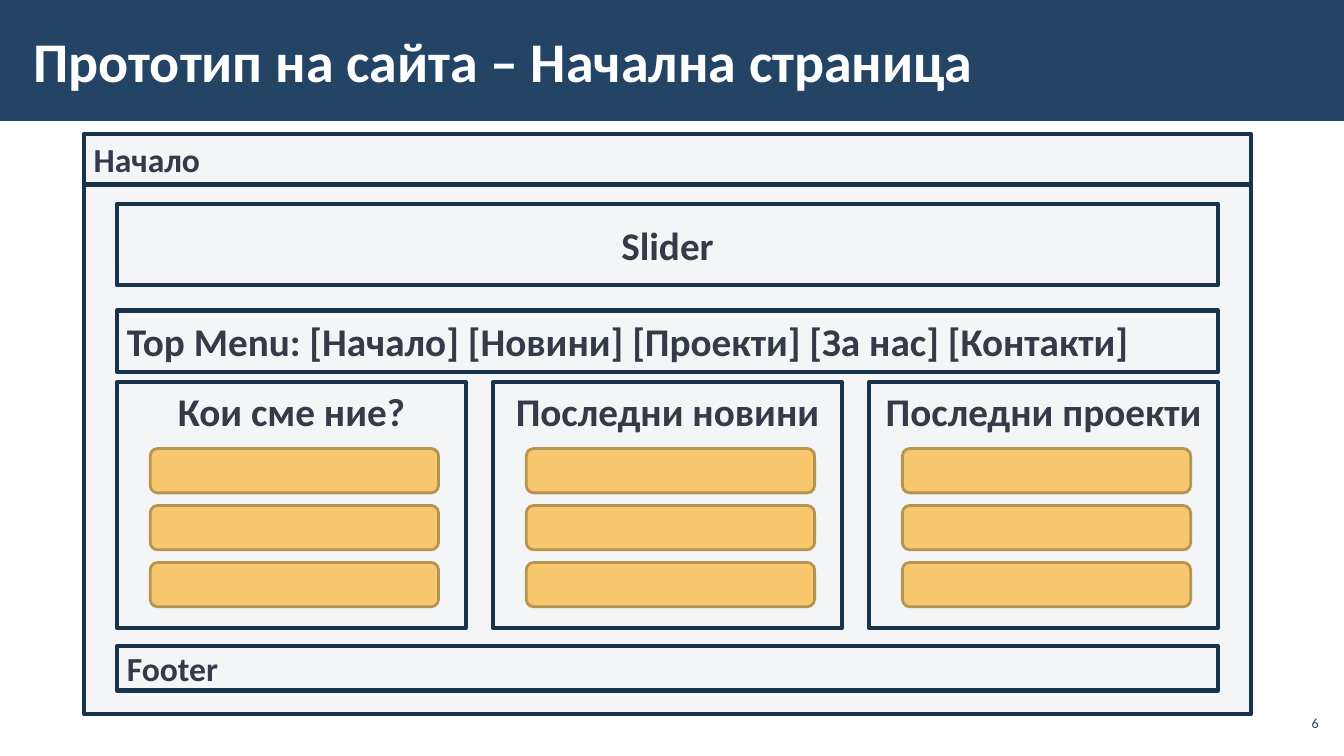
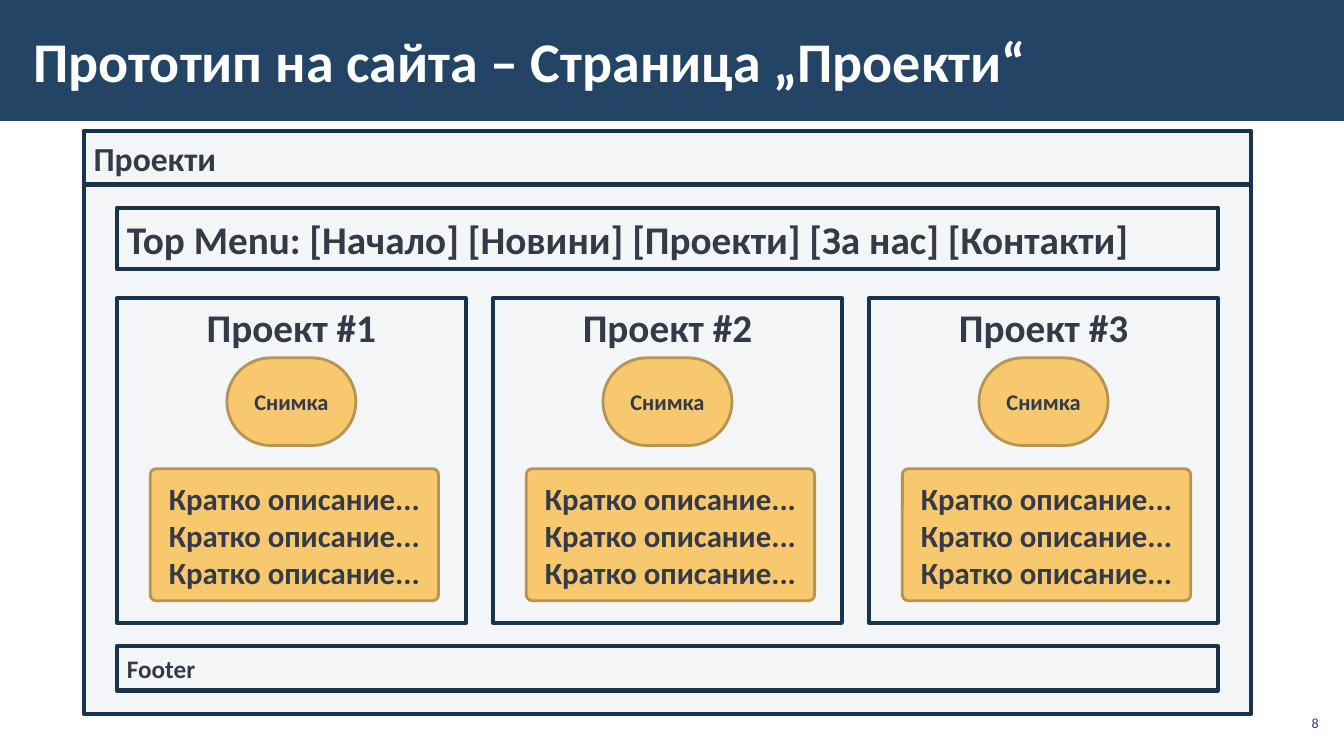
from pptx import Presentation
from pptx.dml.color import RGBColor
from pptx.enum.shapes import MSO_SHAPE
from pptx.enum.text import MSO_ANCHOR, MSO_AUTO_SIZE, PP_ALIGN
from pptx.util import Inches, Pt

RECT, ROUND = MSO_SHAPE.RECTANGLE, MSO_SHAPE.ROUNDED_RECTANGLE
LEFT, CENTER, RIGHT = PP_ALIGN.LEFT, PP_ALIGN.CENTER, PP_ALIGN.RIGHT
TOP, MIDDLE = MSO_ANCHOR.TOP, MSO_ANCHOR.MIDDLE

WHITE = RGBColor(0xFF, 0xFF, 0xFF)
BLUE = RGBColor(0x23, 0x44, 0x65)
NAVY = RGBColor(0x1A, 0x33, 0x4C)
PALE = RGBColor(0xF4, 0xF5, 0xF7)
INK = RGBColor(0x34, 0x3A, 0x47)
AMBER = RGBColor(0xF7, 0xC8, 0x6D)
BRONZE = RGBColor(0xB7, 0x94, 0x51)

FONT = "Calibri"
SLIDE_W, SLIDE_H = 13.33, 7.5
PAGE_X, PAGE_W = 0.83, 11.58
PAGE_Y, PAGE_BOTTOM = 1.83, 7.08
INNER_X, INNER_W = 1.16, 10.92
COL_W, COL_COUNT = 3.46, 3
COL_STEP = (INNER_W - COL_W) / (COL_COUNT - 1)
CARD_INSET, CARD_W = 0.33, 2.86
MENU = "Top Menu: [Начало] [Новини] [Проекти] [За нас] [Контакти]"


def write(tf, lines, size, color=INK, bold=True, align=LEFT, anchor=MIDDLE):
    tf.word_wrap = True
    tf.auto_size = MSO_AUTO_SIZE.NONE
    tf.vertical_anchor = anchor
    for i, line in enumerate(lines):
        p = tf.add_paragraph() if i else tf.paragraphs[0]
        p.alignment = align
        r = p.add_run()
        r.text = line
        r.font.name, r.font.size, r.font.bold = FONT, Pt(size), bold
        r.font.color.rgb = color


def set_insets(tf, side, edge):
    tf.margin_left = tf.margin_right = Inches(side)
    tf.margin_top = tf.margin_bottom = Inches(edge)


def add_box(s, x, y, w, h, kind=RECT, fill=PALE, line=NAVY, width=3):
    sp = s.shapes.add_shape(kind, Inches(x), Inches(y), Inches(w), Inches(h))
    sp.shadow.inherit = False
    sp.fill.solid()
    sp.fill.fore_color.rgb = fill
    if line is None:
        sp.line.fill.background()
    else:
        sp.line.color.rgb = line
        sp.line.width = Pt(width)
    return sp


def add_card(s, x, y, w, h, radius=None):
    sp = add_box(s, x, y, w, h, ROUND, AMBER, BRONZE, 2)
    if radius is not None:
        sp.adjustments[0] = radius
    return sp


def add_band(s):
    band = add_box(s, 0, 0, SLIDE_W, 1.2, fill=BLUE, line=None)
    s.slide_layout.shapes.element.insert(2, band.element)


def add_titled_slide(prs, layout, title, number):
    s = prs.slides.add_slide(layout)
    sp = s.shapes.title
    sp.left, sp.top = Inches(0.21), Inches(0.11)
    sp.width, sp.height = Inches(10.39), Inches(0.97)
    set_insets(sp.text_frame, 0.12, 0.04)
    write(sp.text_frame, [title], 40, WHITE)
    num = s.shapes.add_textbox(Inches(12.65), Inches(7), Inches(0.47), Inches(0.34))
    set_insets(num.text_frame, 0.04, 0.04)
    write(num.text_frame, [str(number)], 10, BLUE, False, RIGHT)
    return s


def add_page_frame(s, name, tab_y, menu_y, footer_size):
    tab = add_box(s, PAGE_X, tab_y, PAGE_W, PAGE_Y - tab_y)
    write(tab.text_frame, [name], 24)
    add_box(s, PAGE_X, PAGE_Y, PAGE_W, PAGE_BOTTOM - PAGE_Y)
    menu = add_box(s, INNER_X, menu_y, INNER_W, 0.61)
    write(menu.text_frame, [MENU], 28)
    footer = add_box(s, INNER_X, 6.41, INNER_W, 0.44)
    write(footer.text_frame, ["Footer"], footer_size)


def add_columns(s, y, h, headings, fill_column):
    for i, heading in enumerate(headings):
        x = INNER_X + i * COL_STEP
        column = add_box(s, x, y, COL_W, h)
        write(column.text_frame, [heading], 28, align=CENTER, anchor=TOP)
        fill_column(s, x, y)


def fill_with_bars(s, x, y):
    for row in range(3):
        add_card(s, x + CARD_INSET, y + 0.66 + row * 1.13 / 2, CARD_W, 0.44)


def fill_with_project(s, x, y):
    photo_w = 1.28
    photo = add_card(s, x + (COL_W - photo_w) / 2, y + 0.59, photo_w, 0.87, 0.5)
    write(photo.text_frame, ["Снимка"], 16, align=CENTER)
    summary = add_card(s, x + CARD_INSET, y + 1.69, CARD_W, 1.31, 0.045)
    phrase = "Кратко описание..."
    write(summary.text_frame, [f"{phrase} {phrase}", phrase], 22, align=CENTER)


def build_home(prs, layout):
    s = add_titled_slide(prs, layout, "Прототип на сайта – Начална страница", 6)
    add_band(s)
    add_page_frame(s, "Начало", 1.33, 3.08, 24)
    slider = add_box(s, INNER_X, 2.02, INNER_W, 0.81)
    write(slider.text_frame, ["Slider"], 28, align=CENTER)
    headings = ["Кои сме ние?", "Последни новини", "Последни проекти"]
    add_columns(s, 3.79, 2.44, headings, fill_with_bars)


def build_projects(prs, layout):
    s = add_titled_slide(prs, layout, "Прототип на сайта – Страница „Проекти“", 8)
    add_page_frame(s, "Проекти", 1.3, 2.06, 18)
    headings = [f"Проект #{i + 1}" for i in range(COL_COUNT)]
    add_columns(s, 2.96, 3.22, headings, fill_with_project)


def main():
    prs = Presentation()
    prs.slide_width, prs.slide_height = Inches(SLIDE_W), Inches(SLIDE_H)
    layout = prs.slide_layouts.get_by_name("Title Only")
    build_home(prs, layout)
    build_projects(prs, layout)
    prs.save("out.pptx")


if __name__ == "__main__":
    main()
